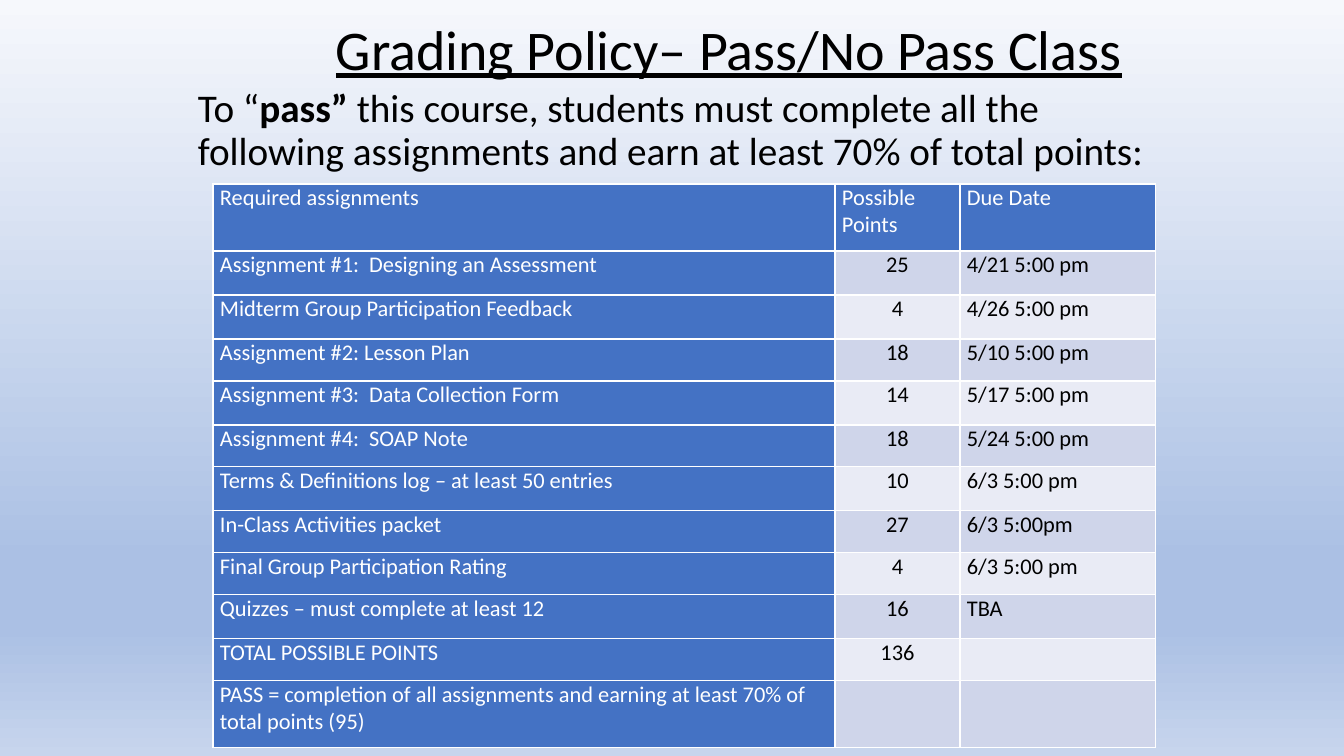
"""Build the grading policy slide with its table of assignments."""
from copy import deepcopy
from dataclasses import dataclass

from lxml import etree
from pptx import Presentation
from pptx.dml.color import RGBColor
from pptx.enum.text import MSO_ANCHOR, PP_ALIGN
from pptx.oxml.ns import qn
from pptx.slide import Slide
from pptx.table import _Cell
from pptx.text.text import TextFrame
from pptx.util import Pt

LEFT, CENTER = PP_ALIGN.LEFT, PP_ALIGN.CENTER
TOP, MIDDLE = MSO_ANCHOR.TOP, MSO_ANCHOR.MIDDLE
SCALE = 914400 / 100.8
FONT = "Calibri"
COLORS = {
    "black": "000000", "white": "FFFFFF", "blue": "4472C4",
    "dark": "CFD5EA", "light": "E9EBF5",
    "sky": "F6F8FC", "mid": "ABC0E4", "base": "C7D5ED",
}
STOPS = [(0, "sky"), (0.74, "mid"), (0.83, "mid"), (1, "base")]


@dataclass
class Run:
    text: str
    bold: bool = False
    line: bool = False


@dataclass
class Box:
    left: int
    top: int
    width: int
    height: int
    size: int
    anchor: MSO_ANCHOR
    space: int
    runs: list[Run]


@dataclass
class Task:
    name: str
    points: str
    due: str
    height: int


BOXES = [
    Box(326, -21, 869, 146, 40, MIDDLE, 0,
        [Run("Grading Policy– Pass/No Pass Class", line=True)]),
    Box(188, 84, 967, 651, 28, TOP, 10, [
        Run("To “"), Run("pass”", bold=True),
        Run(" this course, students must complete all the following "
            "assignments and earn at least 70% of total points:")]),
]
TASKS = [
    Task("Required assignments", "Possible\nPoints", "Due Date", 67),
    Task("Assignment #1:  Designing an Assessment", "25", "4/21 5:00 pm", 44),
    Task("Midterm Group Participation Feedback", "4", "4/26 5:00 pm", 44),
    Task("Assignment #2: Lesson Plan", "18", "5/10 5:00 pm", 42),
    Task("Assignment #3:  Data Collection Form", "14", "5/17 5:00 pm", 44),
    Task("Assignment #4:  SOAP Note", "18", "5/24 5:00 pm", 42),
    Task("Terms & Definitions log – at least 50 entries", "10", "6/3 5:00 pm", 44),
    Task("In-Class Activities packet", "27", "6/3 5:00pm", 42),
    Task("Final Group Participation Rating", "4", "6/3 5:00 pm", 42),
    Task("Quizzes – must complete at least 12", "16", "TBA", 44),
    Task("TOTAL POSSIBLE POINTS", "136", "", 42),
    Task("PASS = completion of all assignments and earning at least 70% of "
         "total points (95)", "", "", 67),
]
WIDTHS = [622, 125, 196]


def px(count: int) -> int:
    """Turn pixels into EMU."""
    return round(count * SCALE)


def rgb(name: str) -> RGBColor:
    """Look up a named colour."""
    return RGBColor.from_string(COLORS[name])


def add_runs(para, runs: list[Run], size: int, color: str) -> None:
    """Write styled runs into a paragraph."""
    for item in runs:
        run = para.add_run()
        run.text = item.text
        font = run.font
        font.name, font.size, font.bold = FONT, Pt(size), item.bold
        font.underline = item.line
        font.color.rgb = rgb(color)


def paint_back(slide: Slide) -> None:
    """Fill the background with the vertical gradient."""
    fill = slide.background.fill
    fill.gradient()
    fill.gradient_angle = 270
    stops = slide.element.xpath(".//a:gsLst")[0]
    for _ in range(len(STOPS) - len(stops)):
        stops.append(deepcopy(stops[0]))
    for stop, (place, color) in zip(fill.gradient_stops, STOPS):
        stop.position = place
        stop.color.rgb = rgb(color)


def draw_box(slide: Slide, box: Box) -> None:
    """Draw one text box."""
    shape = slide.shapes.add_textbox(
        px(box.left), px(box.top), px(box.width), px(box.height))
    frame: TextFrame = shape.text_frame
    frame.word_wrap = True
    frame.vertical_anchor = box.anchor
    para = frame.paragraphs[0]
    para.line_spacing = 0.9
    para.space_before = Pt(box.space)
    add_runs(para, box.runs, box.size, "black")


def add_edges(cell: _Cell) -> None:
    """Give a cell thin white borders."""
    props = cell._tc.get_or_add_tcPr()
    for spot, side in enumerate(("lnL", "lnR", "lnT", "lnB")):
        edge = etree.Element(qn(f"a:{side}"), w=str(Pt(1)))
        fill = etree.SubElement(edge, qn("a:solidFill"))
        etree.SubElement(fill, qn("a:srgbClr"), val=COLORS["white"])
        props.insert(spot, edge)


def fill_cell(cell: _Cell, text: str, fill: str, color: str,
              align: PP_ALIGN) -> None:
    """Write and style one table cell."""
    cell.margin_left = cell.margin_right = px(7)
    cell.margin_top = cell.margin_bottom = 0
    cell.fill.solid()
    cell.fill.fore_color.rgb = rgb(fill)
    add_edges(cell)
    frame = cell.text_frame
    for spot, line in enumerate(text.splitlines()):
        para = frame.add_paragraph() if spot else frame.paragraphs[0]
        para.alignment = align
        add_runs(para, [Run(line)], 16, color)


def draw_table(slide: Slide) -> None:
    """Draw the table of assignments."""
    high = sum(task.height for task in TASKS)
    table = slide.shapes.add_table(
        len(TASKS), len(WIDTHS), px(213), px(184),
        px(sum(WIDTHS)), px(high)).table
    table.first_row = table.horz_banding = False
    for col, width in zip(table.columns, WIDTHS):
        col.width = px(width)
    for row, task in enumerate(TASKS):
        table.rows[row].height = px(task.height)
        for col, text in enumerate((task.name, task.points, task.due)):
            head = row == 0 or col == 0
            band = "dark" if row % 2 else "light"
            fill_cell(table.cell(row, col), text,
                      "blue" if head else band,
                      "white" if head else "black",
                      CENTER if col == 1 and not head else LEFT)


def main() -> None:
    """Build and save the deck."""
    deck = Presentation()
    deck.slide_width, deck.slide_height = px(1344), px(756)
    slide = deck.slides.add_slide(deck.slide_layouts[6])
    paint_back(slide)
    for box in BOXES:
        draw_box(slide, box)
    draw_table(slide)
    deck.save("out.pptx")


main()
